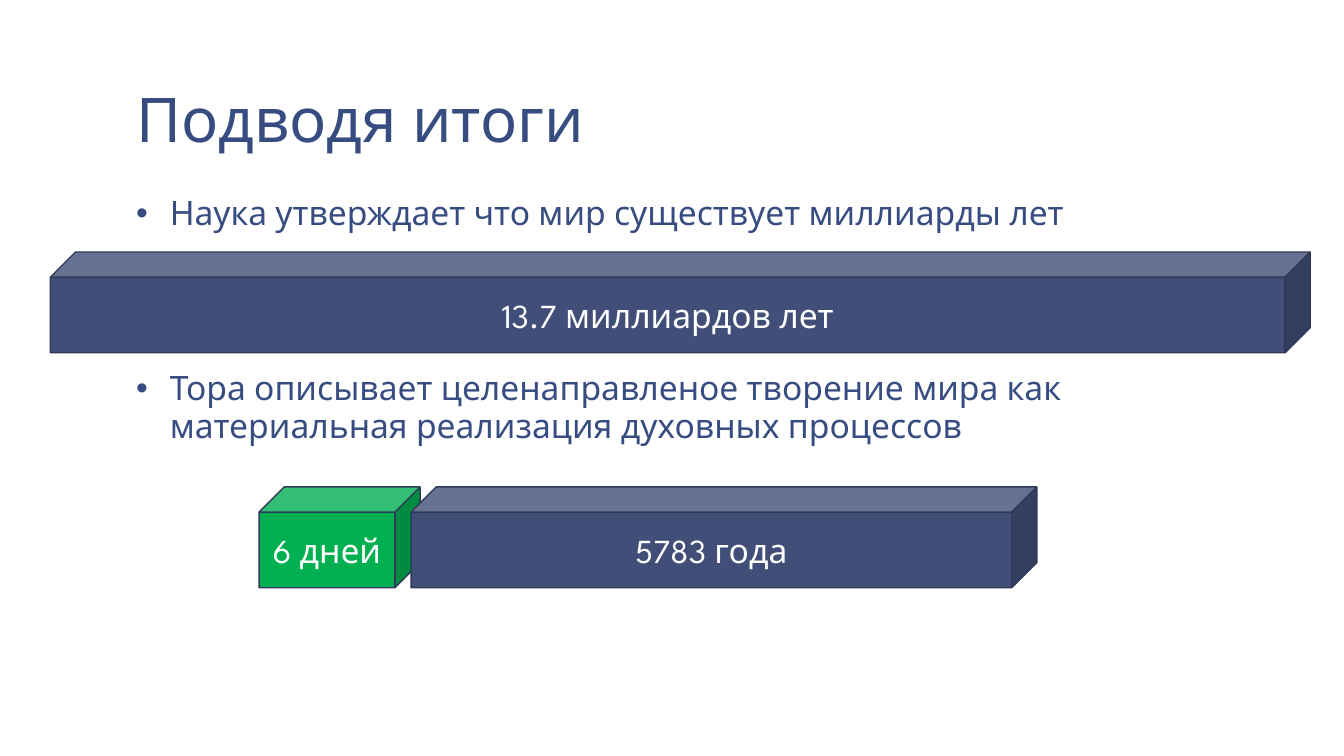
from lxml.etree import SubElement
from pptx import Presentation
from pptx.dml.color import RGBColor
from pptx.enum.shapes import MSO_SHAPE as Shape
from pptx.enum.text import MSO_ANCHOR as Anchor, MSO_AUTO_SIZE as AutoSize, PP_ALIGN as Align
from pptx.oxml.ns import qn
from pptx.util import Cm, Pt

COLORS = {"text": "374C81", "era": "414E77", "creation": "00B050",
          "edge": "303A58", "label": "FFFFFF"}


class TimelineSlide:
    font_name = "League Spartan"
    text_size = 24
    margin_x, margin_y = Cm(0.33), Cm(0.18)

    def __init__(self, deck):
        self.slide = deck.slides.add_slide(deck.slide_layouts[5])

    def color(self, name):
        return RGBColor.from_string(COLORS[name])

    def style(self, paragraph, color, size=text_size):
        paragraph.font.name = self.font_name
        paragraph.font.size = Pt(size)
        paragraph.font.color.rgb = self.color(color)

    def frame(self, shape, box, anchor):
        shape.left, shape.top, shape.width, shape.height = map(Cm, box)
        frame = shape.text_frame
        frame.word_wrap = True
        frame.auto_size = AutoSize.NONE
        frame.vertical_anchor = anchor
        frame.margin_left = frame.margin_right = self.margin_x
        frame.margin_top = frame.margin_bottom = self.margin_y
        return frame

    def title(self, text, box):
        frame = self.frame(self.slide.shapes.title, box, Anchor.BOTTOM)
        frame.text = text
        heading = frame.paragraphs[0]
        heading.alignment = Align.LEFT
        heading.line_spacing = 0.85
        self.style(heading, "text", 44)

    def bullets(self, items, box):
        area = self.slide.shapes.add_textbox(*map(Cm, box))
        frame = self.frame(area, box, Anchor.TOP)
        frame.text = "\n".join(text for text, _ in items)
        for paragraph, (_, space) in zip(frame.paragraphs, items):
            paragraph.line_spacing = 0.95
            paragraph.space_before = Pt(space)
            self.style(paragraph, "text")
            # Hanging bullet
            props = paragraph._p.get_or_add_pPr()
            props.set("marL", str(Cm(0.85)))
            props.set("indent", str(-Cm(0.85)))
            SubElement(props, qn("a:buFont")).set("typeface", "Arial")
            SubElement(props, qn("a:buChar")).set("char", "•")

    def bar(self, text, fill, left, top, width, height=2.54):
        cube = self.slide.shapes.add_shape(
            Shape.CUBE, Cm(left), Cm(top), Cm(width), Cm(height))
        cube.shadow.inherit = False
        cube.fill.solid()
        cube.fill.fore_color.rgb = self.color(fill)
        cube.line.color.rgb = self.color("edge")
        cube.line.width = Pt(1)
        frame = cube.text_frame
        frame.text = text
        frame.vertical_anchor = Anchor.MIDDLE
        frame.paragraphs[0].alignment = Align.CENTER
        self.style(frame.paragraphs[0], "label")


def main():
    deck = Presentation()
    deck.slide_width, deck.slide_height = Cm(33.87), Cm(19.05)
    summary = TimelineSlide(deck)

    # Title and the two views; the wide gap leaves room for the first bar
    summary.title("Подводя итоги", (3.1, 0.2, 28.22, 3.89))
    summary.bullets([
        ("Наука утверждает что мир существует миллиарды лет", 18.7),
        ("Тора описывает целенаправленое творение мира как "
         "материальная реализация духовных процессов", 98),
    ], (3.1, 4.72, 28.22, 6.91))

    # Time spans
    torah_top = 12.27
    summary.bar("6 дней", "creation", 6.53, torah_top, 4.06)
    summary.bar("5783 года", "era", 10.36, torah_top, 15.77)
    summary.bar("13.7 миллиардов лет", "era", 1.27, 6.35, 31.75)

    deck.save("out.pptx")


if __name__ == "__main__":
    main()
